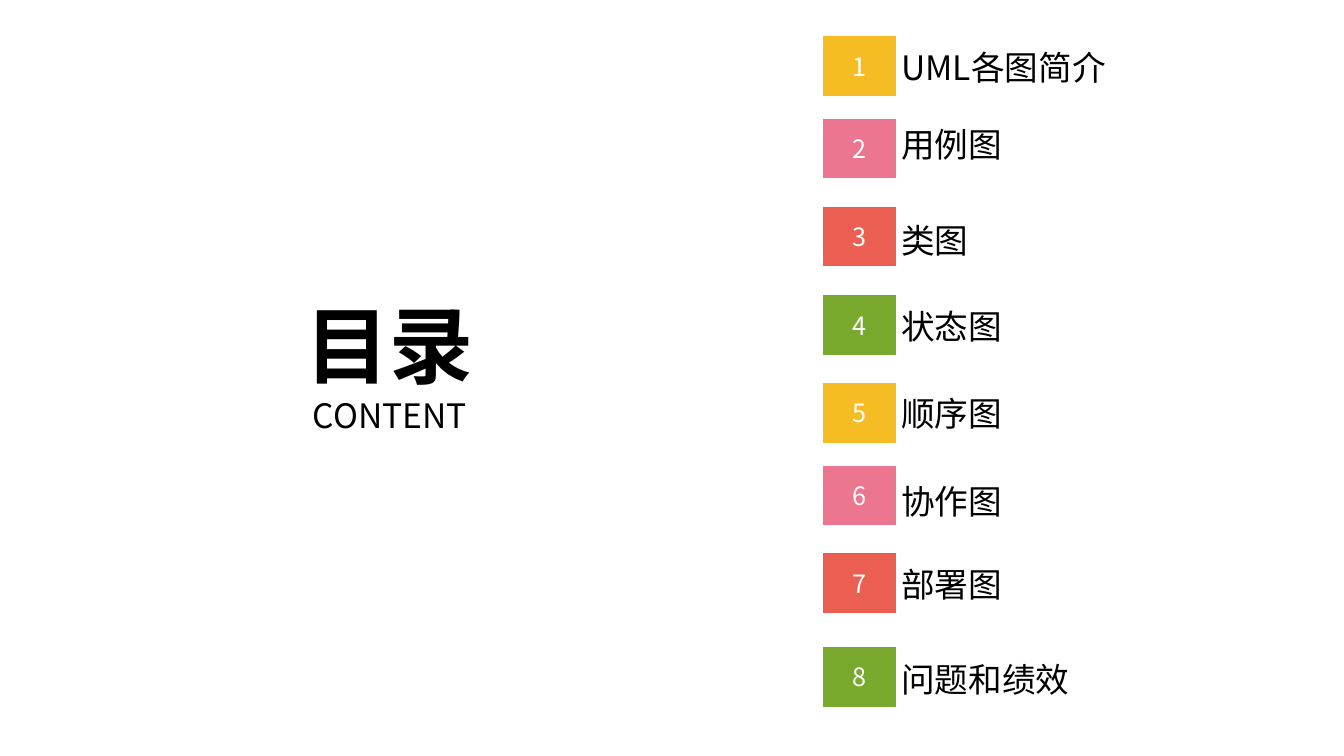
from dataclasses import dataclass
from itertools import cycle

from lxml import etree
from pptx import Presentation
from pptx import util as u
from pptx.dml.color import RGBColor
from pptx.enum import shapes, text
from pptx.oxml import ns


@dataclass(frozen=True)
class Theme:
    font: str = "Noto Sans CJK SC"
    ink: str = "000000"
    paper: str = "FFFFFF"
    badges: tuple = ("F5BD23", "EC7690", "EB5F52", "78A82C")
    title_size: int = 60
    entry_size: int = 24
    number_size: int = 18
    disc_opacity: int = 78


class ContentsSlide:
    def __init__(self, deck, theme):
        self.theme = theme
        self.page = deck.slides.add_slide(deck.slide_layouts[5])

    def style(self, para, size, color, align, bold=False):
        para.alignment = align
        for span in para.runs:
            span.font.size = u.Pt(size)
            span.font.bold = bold
            span.font.name = self.theme.font
            span.font.color.rgb = RGBColor.from_string(color)
            east_asian = etree.SubElement(span.font._element, ns.qn("a:ea"))
            east_asian.set("typeface", self.theme.font)

    def fill(self, shape, color):
        shape.fill.solid()
        shape.fill.fore_color.rgb = RGBColor.from_string(color)

    def title_disc(self, heading, subtitle, left, top, size):
        disc = self.page.shapes.title
        disc.left, disc.top = u.Inches(left), u.Inches(top)
        disc.width = disc.height = u.Inches(size)
        outline = etree.Element(ns.qn("a:prstGeom"), prst="ellipse")
        etree.SubElement(outline, ns.qn("a:avLst"))
        disc._element.spPr.find(ns.qn("a:xfrm")).addnext(outline)
        self.fill(disc, self.theme.paper)
        color = disc._element.spPr.find(".//" + ns.qn("a:srgbClr"))
        etree.SubElement(color, ns.qn("a:alpha")).set("val", str(self.theme.disc_opacity * 1000))
        frame = disc.text_frame
        frame.text = heading
        frame.add_paragraph().text = subtitle
        frame.auto_size = text.MSO_AUTO_SIZE.NONE
        frame.vertical_anchor = text.MSO_ANCHOR.MIDDLE
        center = text.PP_ALIGN.CENTER
        self.style(frame.paragraphs[0], self.theme.title_size, self.theme.ink, center, bold=True)
        self.style(frame.paragraphs[1], self.theme.entry_size, self.theme.ink, center)

    def badge(self, number, color, left, top, width, height):
        badge = self.page.shapes.add_shape(
            shapes.MSO_SHAPE.PARALLELOGRAM,
            u.Inches(left), u.Inches(top), u.Inches(width), u.Inches(height))
        badge.adjustments[0] = 0
        badge.shadow.inherit = False
        badge.line.fill.background()
        self.fill(badge, color)
        frame = badge.text_frame
        frame.text = str(number)
        frame.vertical_anchor = text.MSO_ANCHOR.MIDDLE
        self.style(frame.paragraphs[0], self.theme.number_size, self.theme.paper, text.PP_ALIGN.CENTER)

    def entry(self, label, left, top, width, height):
        x, y = u.Inches(left), u.Inches(top)
        right, bottom = x + u.Inches(width), y + u.Inches(height)
        builder = self.page.shapes.build_freeform(x, y)
        builder.add_line_segments([(right, y), (right, bottom), (x, bottom)], close=True)
        box = builder.convert_to_shape()
        box.shadow.inherit = False
        box.fill.background()
        box.line.fill.background()
        frame = box.text_frame
        frame.text = label
        frame.word_wrap = True
        frame.vertical_anchor = text.MSO_ANCHOR.MIDDLE
        frame.margin_left = frame.margin_right = u.Inches(0.05)
        frame.margin_top = frame.margin_bottom = u.Inches(0.05)
        self.style(frame.paragraphs[0], self.theme.entry_size, self.theme.ink, text.PP_ALIGN.LEFT)


ENTRIES = [
    ("UML各图简介", 0.36, 0.29),
    ("用例图", 1.18, 1.05),
    ("类图", 2.05, 2.0),
    ("状态图", 2.93, 2.86),
    ("顺序图", 3.8, 3.72),
    ("协作图", 4.62, 4.59),
    ("部署图", 5.49, 5.41),
    ("问题和绩效", 6.42, 6.36),
]


def main():
    deck = Presentation()
    deck.slide_width, deck.slide_height = u.Inches(13.33), u.Inches(7.5)
    theme = Theme()
    contents = ContentsSlide(deck, theme)
    contents.title_disc("目录", "CONTENT", 2.51, 2.26, 2.71)
    rows = zip(ENTRIES, cycle(theme.badges))
    for number, ((label, badge_top, label_top), color) in enumerate(rows, start=1):
        contents.badge(number, color, 8.16, badge_top, 0.73, 0.59)
        contents.entry(label, 8.89, label_top, 3.02, 0.76)
    deck.save("out.pptx")


if __name__ == "__main__":
    main()
